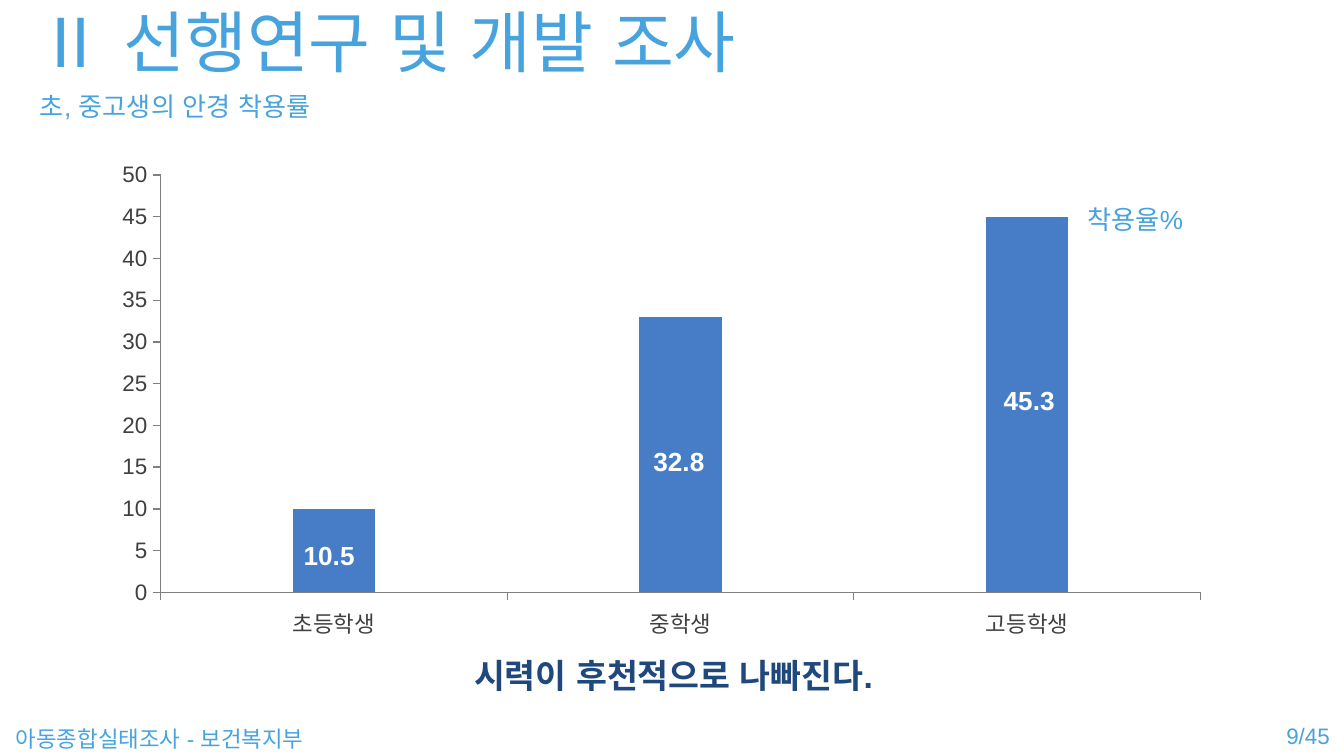
"""Build a slide charting the share of pupils who wear glasses by school level."""
from lxml import etree
from pptx import Presentation
from pptx import util as u
from pptx.chart import data as chart_data
from pptx.dml import color
from pptx.enum import chart as chart_enum, text
from pptx.oxml import ns

COLORS = {"sky": "47A3DE", "bar": "477DC7", "navy": "1F497D",
          "white": "FFFFFF", "label": "404040", "axis": "808080"}
FONT = "Arial"


def style_font(font, size, shade, bold=False):
    font.name = FONT
    font.size = u.Pt(size)
    font.bold = bold
    font.color.rgb = color.RGBColor.from_string(COLORS[shade])


def write(box, words, size, shade, bold=False, wrap=False):
    frame = box.text_frame
    frame.text = words
    frame.word_wrap = wrap
    frame.auto_size = text.MSO_AUTO_SIZE.NONE
    para = frame.paragraphs[0]
    para.alignment = text.PP_ALIGN.LEFT
    para.space_before = u.Pt(0)
    for span in para.runs:
        style_font(span.font, size, shade, bold)
        for script in ("a:ea", "a:cs"):
            etree.SubElement(span._r.get_or_add_rPr(), ns.qn(script)).set("typeface", FONT)


deck = Presentation()
deck.slide_width, deck.slide_height = u.Cm(25.4), u.Cm(14.28)
page = deck.slides.add_slide(deck.slide_layouts[1])

headings = [
    (page.shapes.title, "Ⅱ 선행연구 및 개발 조사", 36, (0.46, -0.03, 19.81, 1.6)),
    (page.placeholders[1], "초, 중고생의 안경 착용률", 14, (0.5, 1.6, 19.81, 0.79)),
]
for box, words, size, place in headings:
    box.left, box.top, box.width, box.height = map(u.Cm, place)
    write(box, words, size, "sky", wrap=True)
    box.text_frame.vertical_anchor = text.MSO_ANCHOR.MIDDLE
    properties = box.text_frame.paragraphs[0]._p.get_or_add_pPr()
    properties.set("marL", "0")
    properties.set("indent", "0")
    etree.SubElement(properties, ns.qn("a:buNone"))

rates = chart_data.CategoryChartData()
rates.categories = ["초등학생", "중학생", "고등학생"]
rates.add_series("착용율", (10, 33, 45))
chart = page.shapes.add_chart(
    chart_enum.XL_CHART_TYPE.COLUMN_STACKED,
    u.Cm(1.98), u.Cm(2.93), u.Cm(21.13), u.Cm(9.39), rates).chart
chart.has_legend = False
chart.has_title = False
style_font(chart.font, 12, "label")

plot = chart.plots[0]
plot.gap_width = 321
plot.overlap = 100
plot.vary_by_categories = False
fill = plot.series[0].format.fill
fill.solid()
fill.fore_color.rgb = color.RGBColor.from_string(COLORS["bar"])

for axis in (chart.category_axis, chart.value_axis):
    axis.has_major_gridlines = False
    axis.major_tick_mark = chart_enum.XL_TICK_MARK.OUTSIDE
    axis.minor_tick_mark = chart_enum.XL_TICK_MARK.NONE
    axis.format.line.color.rgb = color.RGBColor.from_string(COLORS["axis"])
    style_font(axis.tick_labels.font, 12, "label")
chart.value_axis.minimum_scale = 0
chart.value_axis.maximum_scale = 50
chart.value_axis.major_unit = 5

area = chart._chartSpace.find(".//" + ns.qn("c:plotArea"))
for layout in area.findall(ns.qn("c:layout")):
    area.remove(layout)
layout = etree.Element(ns.qn("c:layout"))
manual = etree.SubElement(layout, ns.qn("c:manualLayout"))
for tag, value in (("layoutTarget", "inner"), ("xMode", "edge"), ("yMode", "edge"),
                   ("x", "0.05"), ("y", "0.04"), ("w", "0.93"), ("h", "0.84")):
    etree.SubElement(manual, ns.qn("c:" + tag)).set("val", value)
area.insert(0, layout)

labels = [
    ("9/45", 12, "sky", False, (24.06, 13.51, 1.34, 0.76)),
    ("아동종합실태조사 - 보건복지부", 12, "sky", False, (0.05, 13.57, 6.45, 0.76)),
    ("착용율%", 14, "sky", False, (20.3, 3.71, 2.51, 0.79)),
    ("시력이 후천적으로 나빠진다.", 18, "navy", True, (8.71, 12.24, 8.74, 1.02)),
    ("10.5", 14, "white", True, (5.49, 10.06, 1.47, 0.86)),
    ("32.8", 14, "white", True, (12.1, 8.28, 1.47, 0.86)),
    ("45.3", 14, "white", True, (18.72, 7.14, 1.47, 0.86)),
]
for words, size, shade, bold, place in labels:
    box = page.shapes.add_textbox(*map(u.Cm, place))
    write(box, words, size, shade, bold)

deck.save("out.pptx")
